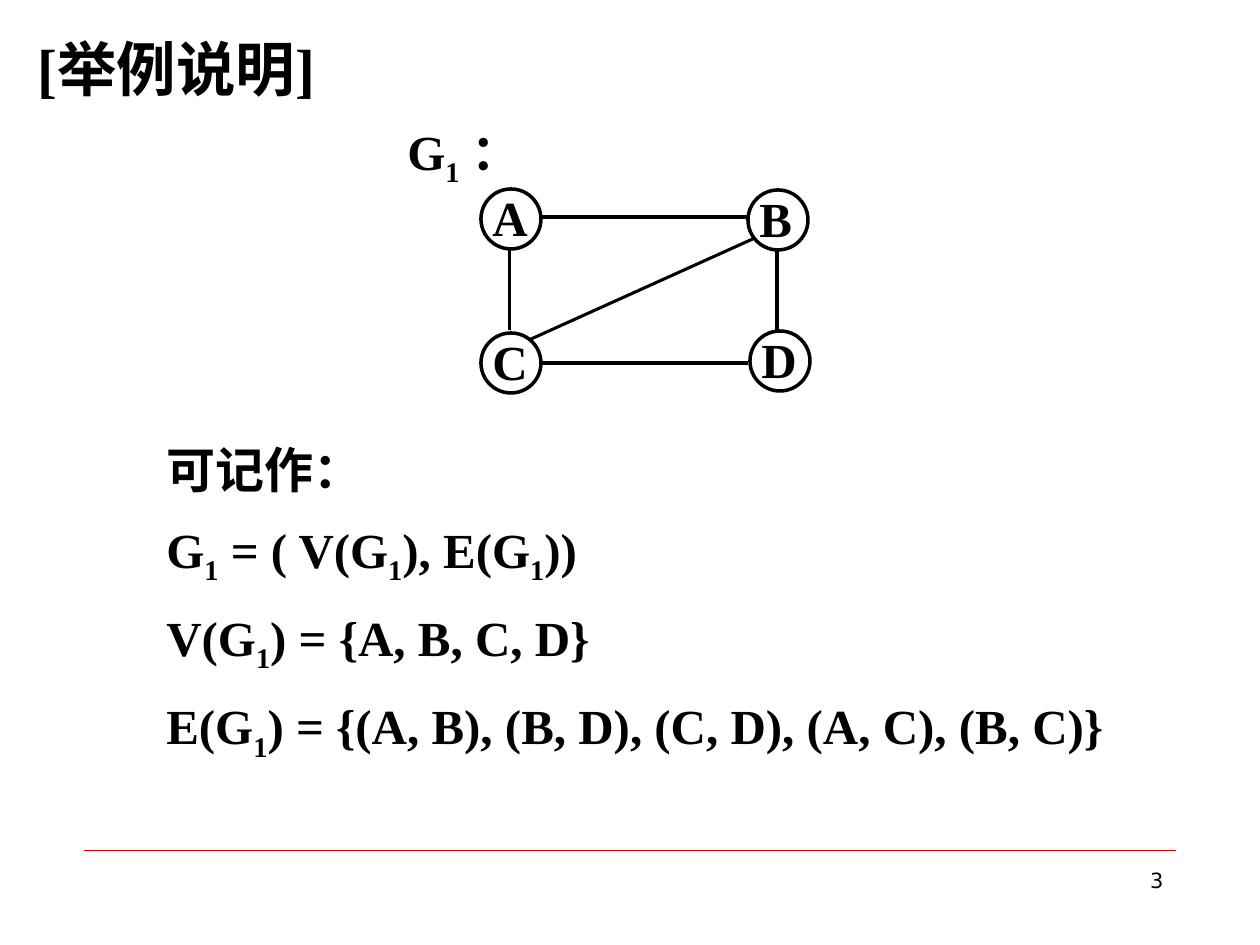
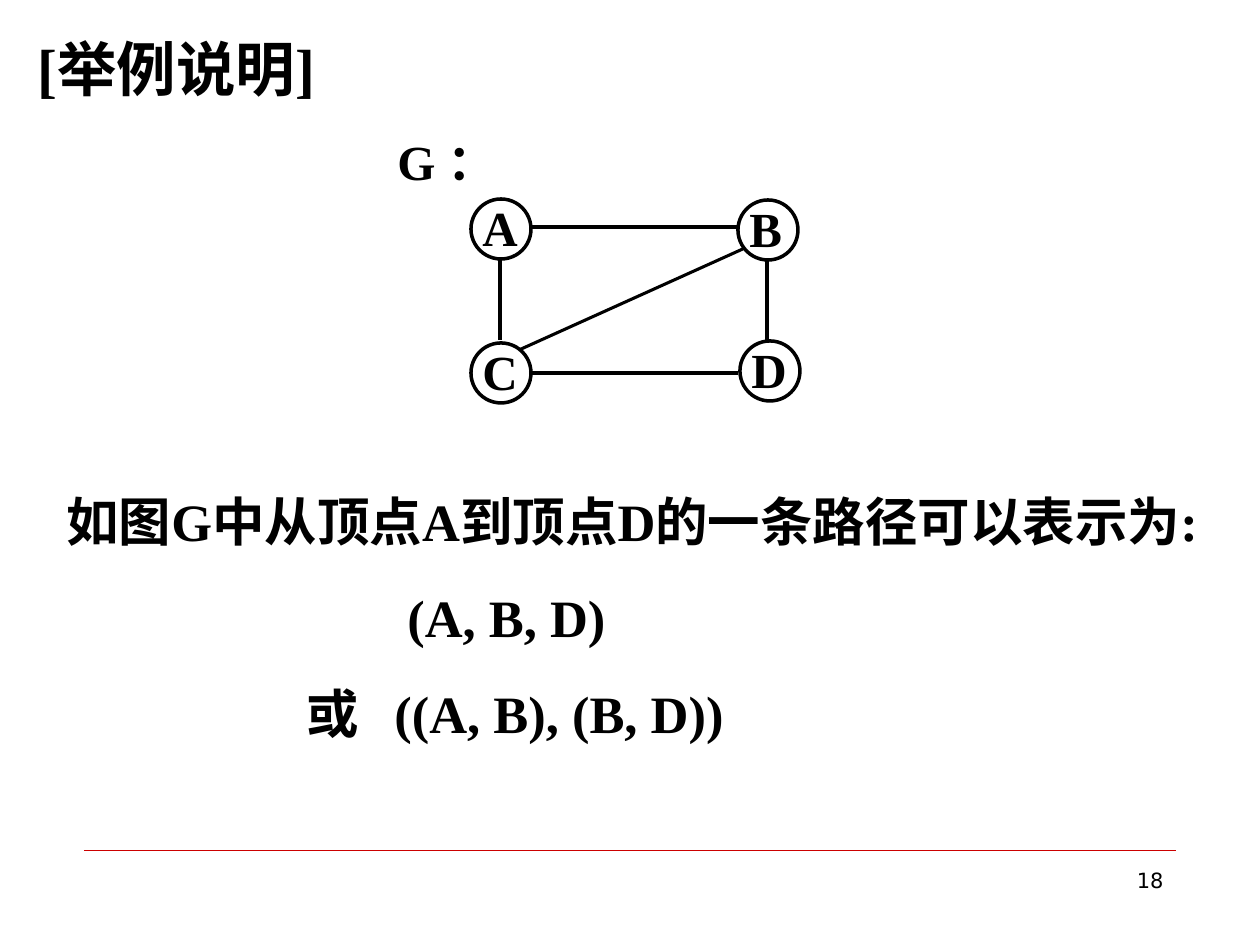
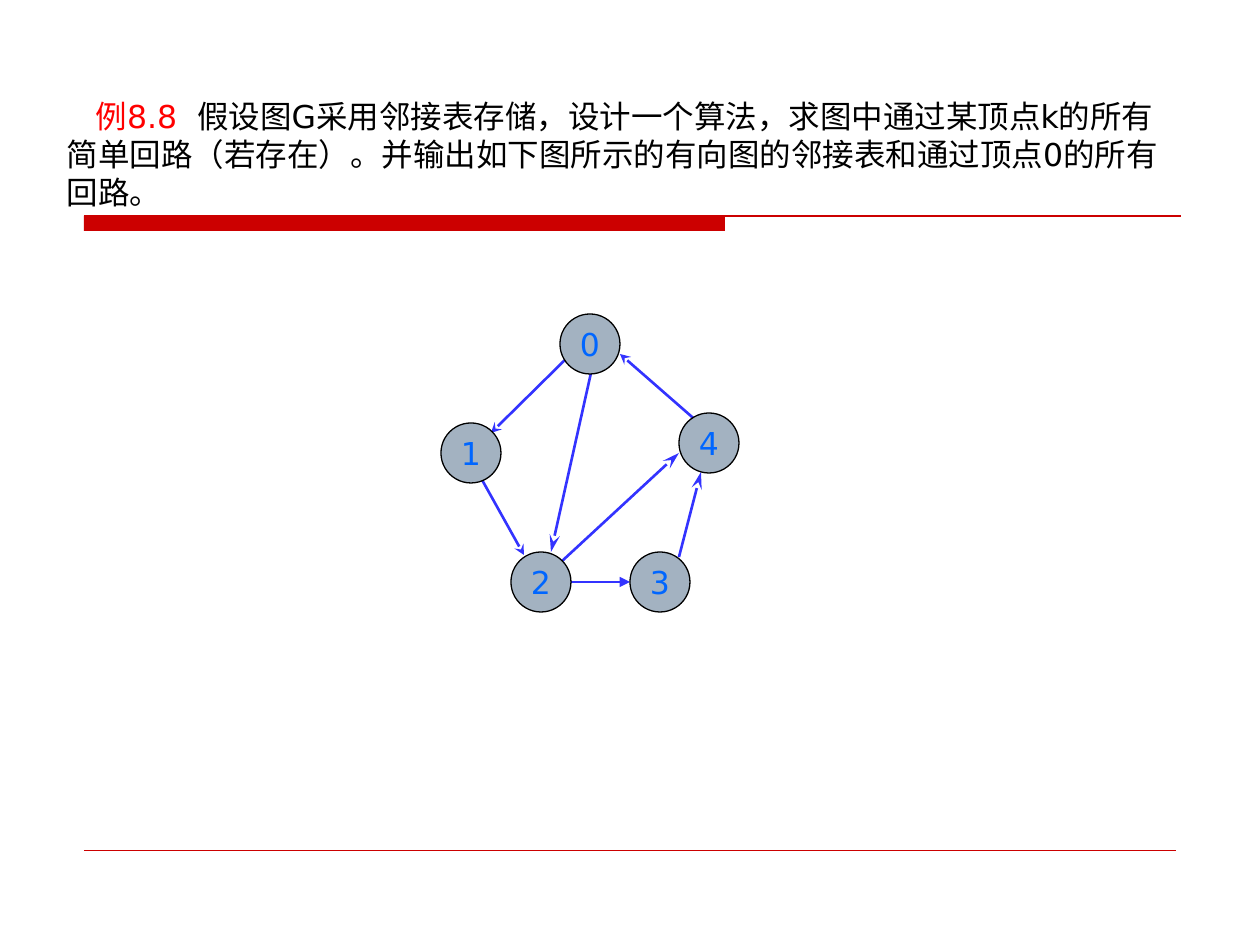
from dataclasses import dataclass
from typing import Any, NamedTuple

from lxml import etree
from pptx import Presentation
from pptx import util as u
from pptx.dml.color import RGBColor
from pptx.enum import shapes as kinds
from pptx.enum import text as t
from pptx.oxml import ns

# Shared scale, colours and fonts
EMU_PER_PX = 914400 / 126
BLACK, WHITE, RED, BRIGHT_RED = "000000", "FFFFFF", "CC0000", "FF0000"
NODE_FILL, NODE_TEXT, ARROW = "A3B2C1", "0066FF", "3333FF"
SERIF, SANS = "Times New Roman", "DejaVu Sans"
LEFT, RIGHT, CENTER, JUSTIFY = (
    t.PP_ALIGN.LEFT, t.PP_ALIGN.RIGHT, t.PP_ALIGN.CENTER, t.PP_ALIGN.JUSTIFY)


class Box(NamedTuple):
    x: int
    y: int
    w: int
    h: int


class Node(NamedTuple):
    label: str
    x: int
    y: int


class Edge(NamedTuple):
    x1: int
    y1: int
    x2: int
    y2: int
    head: str = ""
    head_length: str = "med"


class Piece(NamedTuple):
    words: str
    color: str = BLACK
    spacing: float = 0


@dataclass(frozen=True)
class Style:
    size: int
    font: str = SERIF
    bold: bool = True
    align: Any = LEFT
    before: float = 0


@dataclass(frozen=True)
class Para:
    """A paragraph; "_" puts the next character in subscript."""
    pieces: tuple[Piece, ...]
    left: int = 0
    first: int = 0


HEADING = Style(34)
GRAPH_TEXT = Style(28, align=JUSTIFY)
FORMULAS = Style(28, align=JUSTIFY, before=12.2)
PATHS = Style(30, before=18.7)
PROBLEM = Style(18, SANS, False)
NODE_NUMBER = Style(18, SANS, False, CENTER)
PAGE_NUMBER = Style(12, SANS, False, RIGHT)

HEADING_BOX = Box(25, 26, 1211, 824)
PAGE_NUMBER_BOX = Box(903, 861, 273, 66)
FOOTER_LINE = Edge(84, 850, 1176, 850)
CIRCLE = 60

# Undirected graph with vertices A to D
VERTICES = (Node("A", 481, 189), Node("B", 748, 190),
            Node("C", 481, 333), Node("D", 750, 331))
EDGES = (Edge(541, 217, 750, 217), Edge(539, 363, 748, 363),
         Edge(510, 248, 510, 330), Edge(777, 249, 777, 333),
         Edge(529, 340, 755, 238))

# Directed graph with vertices 0 to 4
NUMBERED = (Node("0", 560, 314), Node("1", 441, 423), Node("4", 679, 413),
            Node("2", 511, 552), Node("3", 630, 552))
ARROWS = (Edge(699, 423, 620, 354, "stealth"), Edge(571, 582, 630, 582, "triangle"),
          Edge(481, 478, 524, 555, "stealth"),
          Edge(591, 373, 551, 552, "stealth", "lg"),
          Edge(561, 562, 679, 453, "stealth", "lg"),
          Edge(679, 557, 701, 472, "stealth", "lg"),
          Edge(571, 354, 491, 433, "stealth"))


def px(length: int) -> u.Emu:
    return u.Emu(round(length * EMU_PER_PX))


def rgb(value: str) -> RGBColor:
    return RGBColor.from_string(value)


def assign(target: Any, values: dict[str, Any]) -> None:
    for name, value in values.items():
        setattr(target, name, value)


def plain(*lines: str) -> list[Para]:
    return [Para((Piece(line),)) for line in lines]


# Text
def add_run(paragraph: Any, words: str, piece: Piece, style: Style, sub: bool) -> None:
    if not words:
        return
    run = paragraph.add_run()
    run.text = words
    assign(run.font, {"size": u.Pt(style.size), "name": style.font, "bold": style.bold})
    run.font.color.rgb = rgb(piece.color)
    if sub:
        run.font._element.set("baseline", "-25000")
    if piece.spacing:
        run.font._element.set("spc", str(round(piece.spacing * 100)))


def write(shape: Any, paras: list[Para], style: Style,
          anchor: Any = t.MSO_ANCHOR.TOP, wrap: bool = True) -> None:
    frame = shape.text_frame
    assign(frame, {"word_wrap": wrap, "auto_size": t.MSO_AUTO_SIZE.NONE,
                   "vertical_anchor": anchor})
    for index, para in enumerate(paras):
        paragraph = frame.add_paragraph() if index else frame.paragraphs[0]
        props = paragraph._p.get_or_add_pPr()
        props.set("marL", str(px(para.left)))
        props.set("indent", str(px(para.first)))
        assign(paragraph, {"alignment": style.align, "line_spacing": 1.0,
                           "space_before": u.Pt(style.before if index else 0)})
        for piece in para.pieces:
            start, *rest = piece.words.split("_")
            add_run(paragraph, start, piece, style, False)
            for part in rest:
                add_run(paragraph, part[0], piece, style, True)
                add_run(paragraph, part[1:], piece, style, False)


def add_text(parent: Any, box: Box, paras: list[Para], style: Style) -> None:
    write(parent.add_textbox(*map(px, box)), paras, style)


def fill_title(slide: Any, box: Box, paras: list[Para], style: Style) -> None:
    title = slide.shapes.title
    assign(title, dict(zip(("left", "top", "width", "height"), map(px, box))))
    title.fill.solid()
    title.fill.fore_color.rgb = rgb(WHITE)
    write(title, paras, style)


# Lines and shapes
def add_line(parent: Any, edge: Edge, color: str, width: float) -> None:
    line = parent.add_connector(kinds.MSO_CONNECTOR.STRAIGHT, *map(px, edge[:4]))
    line.line.color.rgb = rgb(color)
    line.line.width = u.Pt(width)
    if edge.head:
        etree.SubElement(line.line._get_or_add_ln(), ns.qn("a:tailEnd"),
                         type=edge.head, w="med", len=edge.head_length)
    etree.SubElement(line._element.spPr, ns.qn("a:effectLst"))


def add_preset(parent: Any, kind: Any, box: Box, fill: str = "", width: float = 0) -> Any:
    shape = parent.add_shape(kind, *map(px, box))
    shape.shadow.inherit = False
    if fill:
        shape.fill.solid()
        shape.fill.fore_color.rgb = rgb(fill)
    else:
        shape.fill.background()
    if width:
        shape.line.color.rgb = rgb(BLACK)
        shape.line.width = u.Pt(width)
    else:
        shape.line.fill.background()
    return shape


# Graphs
def draw_lettered_graph(slide: Any, name: str, dx: int = 0, dy: int = 0) -> None:
    group = slide.shapes.add_group_shape().shapes
    for label, x, y in VERTICES:
        add_preset(group, kinds.MSO_SHAPE.OVAL,
                   Box(x + dx, y + dy, CIRCLE, CIRCLE), width=2)
        add_text(group, Box(x + dx - 1, y + dy - 8, 90, 78), plain(label), GRAPH_TEXT)
    for x1, y1, x2, y2, *_ in EDGES:
        add_line(group, Edge(x1 + dx, y1 + dy, x2 + dx, y2 + dy), BLACK, 1.75)
    add_text(group, Box(395 + dx, 115 + dy, 139, 87), plain(name), GRAPH_TEXT)


def draw_numbered_graph(slide: Any) -> None:
    for arrow in ARROWS:
        add_line(slide.shapes, arrow, ARROW, 1.5)
    for label, x, y in NUMBERED:
        circle = add_preset(slide.shapes, kinds.MSO_SHAPE.OVAL,
                            Box(x, y, CIRCLE, CIRCLE), NODE_FILL, 0.75)
        write(circle, [Para((Piece(label, NODE_TEXT),))], NODE_NUMBER,
              t.MSO_ANCHOR.MIDDLE, wrap=False)


# Slides
def new_slide(deck: Any, number: str = "") -> Any:
    slide = deck.slides.add_slide(deck.slide_layouts[5])
    add_line(slide.shapes, FOOTER_LINE, RED, 0.25)
    if number:
        add_text(slide.shapes, PAGE_NUMBER_BOX, plain(number), PAGE_NUMBER)
    return slide


def example_slide(deck: Any, number: str) -> Any:
    slide = new_slide(deck, number)
    fill_title(slide, HEADING_BOX, plain("[举例说明]"), HEADING)
    return slide


def graph_notation(deck: Any) -> None:
    slide = example_slide(deck, "3")
    formulas = plain("可记作：",
                     "G_1 = ( V(G_1), E(G_1))",
                     "V(G_1) = {A, B, C, D}",
                     "E(G_1) = {(A, B), (B, D), (C, D), (A, C), (B, C)}")
    add_text(slide.shapes, Box(154, 433, 983, 358), formulas, FORMULAS)
    draw_lettered_graph(slide, "G_1 ：")


def graph_path(deck: Any) -> None:
    slide = example_slide(deck, "18")
    draw_lettered_graph(slide, "G ：", dx=-10, dy=10)
    paths = [*plain("如图G中从顶点A到顶点D的一条路径可以表示为:"),
             Para((Piece("(A, B, D)"),), left=341),
             Para((Piece("或\t((A, B), (B, D))"),), left=328, first=-88)]
    add_text(slide.shapes, Box(54, 483, 1171, 330), paths, PATHS)


def simple_circuits(deck: Any) -> None:
    slide = new_slide(deck)
    problem = Para((
        Piece("例8.8", BRIGHT_RED),
        Piece(" ", BRIGHT_RED, spacing=5.7),
        Piece("假设图G采用邻接表存储，设计一个算法，求图中通过某顶点k的所有简单回路（若存在）。"
              "并输出如下图所示的有向图的邻接表和通过顶点0的所有回路。")),
        first=29)
    fill_title(slide, Box(54, 91, 1142, 126), [problem], PROBLEM)
    # Red band under the problem
    add_preset(slide.shapes, kinds.MSO_SHAPE.RECTANGLE, Box(84, 216, 641, 15), RED)
    add_line(slide.shapes, Edge(84, 216, 1181, 216), RED, 0.75)
    draw_numbered_graph(slide)


def main() -> None:
    deck = Presentation()
    assign(deck, {"slide_width": px(1260), "slide_height": px(945)})
    graph_notation(deck)
    graph_path(deck)
    simple_circuits(deck)
    deck.save("out.pptx")


if __name__ == "__main__":
    main()
